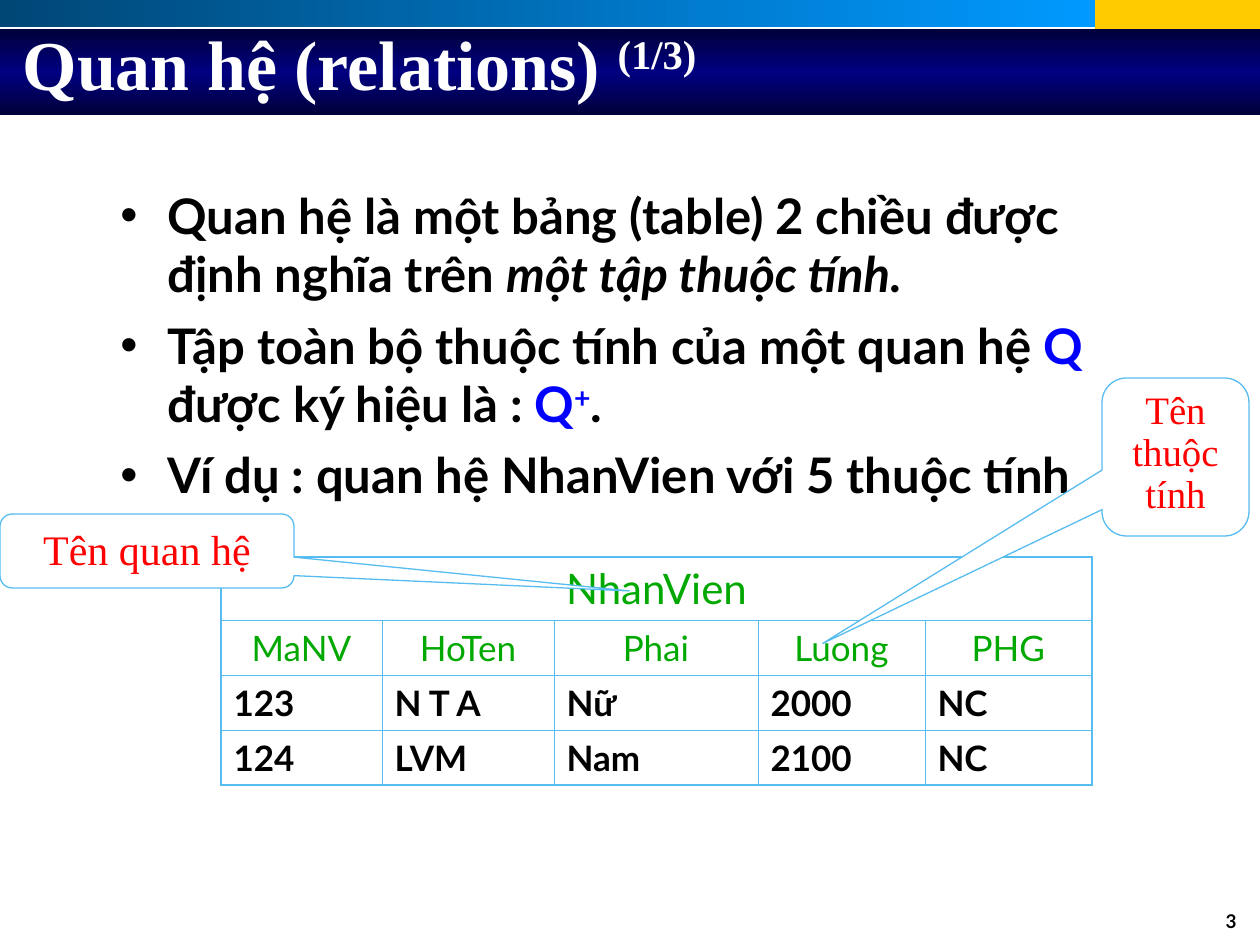
from dataclasses import dataclass

from lxml import etree
from pptx import Presentation
from pptx.dml.color import RGBColor
from pptx.enum.shapes import MSO_SHAPE
from pptx.enum.text import MSO_ANCHOR, MSO_AUTO_SIZE, PP_ALIGN
from pptx.oxml.ns import qn
from pptx.util import Emu, Pt

RECTANGLE = MSO_SHAPE.RECTANGLE
CALLOUT = MSO_SHAPE.ROUNDED_RECTANGULAR_CALLOUT
TOP, MIDDLE = MSO_ANCHOR.TOP, MSO_ANCHOR.MIDDLE
LEFT, CENTER, RIGHT = PP_ALIGN.LEFT, PP_ALIGN.CENTER, PP_ALIGN.RIGHT
NO_AUTOFIT = MSO_AUTO_SIZE.NONE
EMU_PER_PX = 914400 / 126


@dataclass(frozen=True)
class Theme:
    """Colours, fonts and sizes of the slide."""
    sans: str = "Lato"
    serif: str = "Times New Roman"
    black: str = "000000"
    white: str = "FFFFFF"
    blue: str = "0000FF"
    red: str = "FF0000"
    green: str = "00A800"
    gold: str = "FFCC00"
    outline: str = "57BCEF"
    sky_band: tuple = ((0, "004776"), (100, "0099FF"))
    navy_band: tuple = ((0, "00003B"), (50, "000080"), (100, "00003B"))
    title_size: float = 40
    body_size: float = 28
    relation_size: float = 24
    cell_size: float = 20
    attribute_callout_size: float = 22.2
    number_size: float = 10.8
    callout_line: float = 0.75
    inner_border: float = 0.45
    outer_border: float = 1.08


THEME = Theme()

BULLETS = [
    [("Quan hệ là một bảng (table) 2 chiều được định nghĩa trên ", {}),
     ("một tập thuộc tính", {"italic": True}), (".", {})],
    [("Tập toàn bộ thuộc tính của một quan hệ ", {}),
     ("Q", {"color": THEME.blue}), (" được ký hiệu là : ", {}),
     ("Q", {"color": THEME.blue}),
     ("+", {"color": THEME.blue, "superscript": True}), (".", {})],
    [("Ví dụ : quan hệ NhanVien với 5 thuộc tính", {})],
]
ATTRIBUTES = ["MaNV", "HoTen", "Phai", "Luong", "PHG"]
EMPLOYEES = [
    ["123", "N T A", "Nữ", "2000", "NC"],
    ["124", "LVM", "Nam", "2100", "NC"],
]
COLUMN_WIDTHS = [161, 172, 204, 167, 167]
ROW_HEIGHTS = [63, 55, 55, 55]


def px(length):
    """Turn pixels into EMU."""
    return Emu(round(length * EMU_PER_PX))


def box(*lengths):
    """Turn left, top, width and height into EMU."""
    return [px(length) for length in lengths]


def add_run(paragraph, text, size, color=THEME.black, face=THEME.sans,
            bold=False, italic=False, superscript=False):
    """Append one formatted run."""
    run = paragraph.add_run()
    run.text = text
    font = run.font
    font.name, font.size = face, Pt(size)
    font.bold, font.italic = bold, italic
    font.color.rgb = RGBColor.from_string(color)
    if superscript:
        font._element.set("baseline", "30000")


def prepare_frame(frame, anchor):
    """Make a text frame wrap without resizing."""
    frame.word_wrap = True
    frame.auto_size = NO_AUTOFIT
    frame.vertical_anchor = anchor


def add_band(slide, area, color=None, stops=(), angle=0):
    """Draw a header band with a solid or gradient fill."""
    band = slide.shapes.add_shape(RECTANGLE, *box(*area))
    band.shadow.inherit = False
    band.line.fill.background()
    if color:
        band.fill.solid()
        band.fill.fore_color.rgb = RGBColor.from_string(color)
        return
    band.fill.gradient()
    band.fill.gradient_angle = angle
    stop_list = band.element.spPr.find(".//" + qn("a:gsLst"))
    for old_stop in list(stop_list):
        stop_list.remove(old_stop)
    for percent, stop_color in stops:
        stop = etree.SubElement(stop_list, qn("a:gs"), pos=str(percent * 1000))
        etree.SubElement(stop, qn("a:srgbClr"), val=stop_color)


def place_title(slide):
    """Format the title and bring it in front of the bands."""
    title = slide.shapes.title
    title.left, title.top, title.width, title.height = box(10, 10, 872, 105)
    prepare_frame(title.text_frame, MIDDLE)
    paragraph = title.text_frame.paragraphs[0]
    paragraph.alignment = LEFT
    for text, raised in (("Quan hệ (relations) ", False), ("(1/3)", True)):
        add_run(paragraph, text, THEME.title_size, THEME.white, THEME.serif,
                bold=True, superscript=raised)
    title.element.getparent().append(title.element)


def add_bullets(slide):
    """Write the bulleted definition of a relation."""
    frame = slide.shapes.add_textbox(*box(95, 179, 1081, 620)).text_frame
    prepare_frame(frame, TOP)
    for index, runs in enumerate(BULLETS):
        paragraph = frame.add_paragraph() if index else frame.paragraphs[0]
        properties = paragraph._p.get_or_add_pPr()
        properties.set("marL", str(px(60)))
        properties.set("indent", str(px(-47)))
        etree.SubElement(properties, qn("a:buFont"), typeface="Arial")
        etree.SubElement(properties, qn("a:buChar"), char="•")
        paragraph.space_before = Pt(7 if index else 0)
        for text, style in runs:
            add_run(paragraph, text, THEME.body_size, bold=True, **style)


def set_border(cell, side, width):
    """Draw one border of a cell."""
    line = etree.SubElement(cell._tc.get_or_add_tcPr(), qn("a:ln" + side),
                            w=str(Pt(width)))
    fill = etree.SubElement(line, qn("a:solidFill"))
    etree.SubElement(fill, qn("a:srgbClr"), val=THEME.outline)


def fill_cell(cell, text, size, color, alignment, bold):
    """Write the text of one cell."""
    cell.vertical_anchor = MIDDLE
    paragraph = cell.text_frame.paragraphs[0]
    paragraph.alignment = alignment
    add_run(paragraph, text, size, color, bold=bold)


def add_relation_table(slide):
    """Build the NhanVien relation."""
    area = box(221, 557, sum(COLUMN_WIDTHS), sum(ROW_HEIGHTS))
    table = slide.shapes.add_table(
        len(ROW_HEIGHTS), len(COLUMN_WIDTHS), *area).table
    table.first_row = table.horz_banding = False
    for column, width in zip(table.columns, COLUMN_WIDTHS):
        column.width = px(width)
    for row, height in zip(table.rows, ROW_HEIGHTS):
        row.height = px(height)
    table.cell(0, 0).merge(table.cell(0, len(COLUMN_WIDTHS) - 1))

    for r in range(len(ROW_HEIGHTS)):
        for c in range(len(COLUMN_WIDTHS)):
            cell = table.cell(r, c)
            span = cell.span_width if cell.is_merge_origin else 1
            on_edge = {"L": c == 0, "R": c + span == len(COLUMN_WIDTHS),
                       "T": r == 0, "B": r == len(ROW_HEIGHTS) - 1}
            for side, outer in on_edge.items():
                set_border(cell, side,
                           THEME.outer_border if outer else THEME.inner_border)
            cell.fill.background()

    fill_cell(table.cell(0, 0), "NhanVien", THEME.relation_size,
              THEME.green, CENTER, False)
    for c, attribute in enumerate(ATTRIBUTES):
        fill_cell(table.cell(1, c), attribute, THEME.cell_size,
                  THEME.green, CENTER, False)
    for r, employee in enumerate(EMPLOYEES, start=2):
        for c, value in enumerate(employee):
            fill_cell(table.cell(r, c), value, THEME.cell_size,
                      THEME.black, LEFT, True)


def add_callout(slide, area, tip, text, size, line_spacing=1.0):
    """Draw a speech callout whose tip is given relative to its centre."""
    callout = slide.shapes.add_shape(CALLOUT, *box(*area))
    callout.shadow.inherit = False
    callout.adjustments[0], callout.adjustments[1] = tip
    callout.fill.solid()
    callout.fill.fore_color.rgb = RGBColor.from_string(THEME.white)
    callout.line.color.rgb = RGBColor.from_string(THEME.outline)
    callout.line.width = Pt(THEME.callout_line)
    prepare_frame(callout.text_frame, TOP)
    paragraph = callout.text_frame.paragraphs[0]
    paragraph.alignment = CENTER
    paragraph.line_spacing = line_spacing
    add_run(paragraph, text, size, THEME.red, THEME.serif)


def add_page_number(slide):
    """Write the page number at the lower right."""
    frame = slide.shapes.add_textbox(*box(955, 903, 294, 40)).text_frame
    prepare_frame(frame, TOP)
    frame.paragraphs[0].alignment = RIGHT
    add_run(frame.paragraphs[0], "3", THEME.number_size, bold=True)


def main():
    """Build and save the slide."""
    deck = Presentation()
    deck.slide_width, deck.slide_height = px(1260), px(945)
    slide = deck.slides.add_slide(deck.slide_layouts[5])
    add_band(slide, (1095, 0, 165, 35), color=THEME.gold)
    add_band(slide, (0, 0, 1095, 27), stops=THEME.sky_band)
    add_band(slide, (0, 29, 1260, 86), stops=THEME.navy_band, angle=90)
    add_page_number(slide)
    place_title(slide)
    add_bullets(slide)
    add_relation_table(slide)
    add_callout(slide, (0, 514, 294, 74), (1.64, 0.54), "Tên quan hệ",
                THEME.relation_size)
    add_callout(slide, (1102, 378, 147, 158), (-2.4, 1.18), "Tên thuộc tính",
                THEME.attribute_callout_size, line_spacing=0.9)
    deck.save("out.pptx")


if __name__ == "__main__":
    main()
